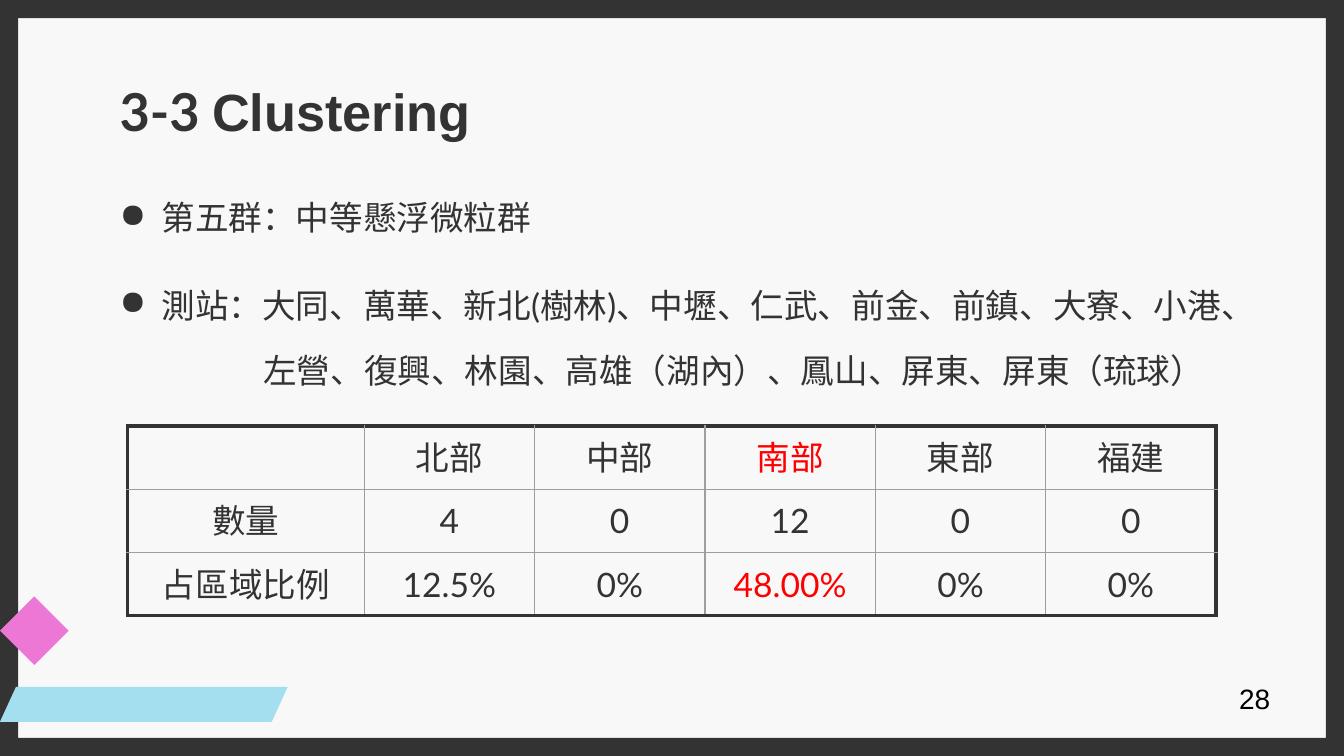
from lxml.etree import SubElement
from pptx import Presentation
from pptx.dml.color import RGBColor
from pptx.enum.shapes import MSO_SHAPE
from pptx.enum.text import MSO_ANCHOR, PP_ALIGN
from pptx.oxml.ns import qn
from pptx.util import Pt

DARK = RGBColor(0x33, 0x33, 0x33)
PAPER = RGBColor(0xF8, 0xF8, 0xF8)
GRID = RGBColor(0x9E, 0x9E, 0x9E)
SKY = RGBColor(0xA3, 0xDF, 0xEF)
PINK = RGBColor(0xED, 0x77, 0xD4)
RED = RGBColor(0xFF, 0, 0)
BLACK = RGBColor(0, 0, 0)


class SlideBuilder:
    """Holds the style and the current slide, and adds each kind of element."""

    font = "Lato"
    body_size = 18
    inset = Pt(7.2)

    def __init__(self, slide):
        self.slide = slide
        slide.background.fill.solid()
        slide.background.fill.fore_color.rgb = PAPER

    def shape(self, preset, box, color, adjustment=None):
        shape = self.slide.shapes.add_shape(preset, *map(Pt, box))
        shape.shadow.inherit = False
        shape.fill.solid()
        shape.fill.fore_color.rgb = color
        shape.line.fill.background()
        if adjustment is not None:
            shape.adjustments[0] = adjustment

    def format_run(self, run, size, color=DARK, font=None, bold=False):
        run.font.size = Pt(size)
        run.font.bold = bold
        run.font.color.rgb = color
        run.font.name = font or self.font
        SubElement(run.font._element, qn("a:ea"), typeface=run.font.name)

    def text_frame(self, box, anchor=MSO_ANCHOR.TOP, wrap=True):
        frame = self.slide.shapes.add_textbox(*map(Pt, box)).text_frame
        frame.word_wrap = wrap
        frame.vertical_anchor = anchor
        frame.margin_left = frame.margin_right = self.inset
        frame.margin_top = frame.margin_bottom = self.inset
        return frame

    def title(self, box, parts):
        paragraph = self.text_frame(box, MSO_ANCHOR.MIDDLE).paragraphs[0]
        for text, font in parts:
            run = paragraph.add_run()
            run.text = text
            self.format_run(run, 28, font=font, bold=True)

    def page_number(self, box, number):
        frame = self.text_frame(box, wrap=False)
        frame.text = number
        self.format_run(frame.paragraphs[0].runs[0], 15, BLACK, "Arial")

    def body(self, box, lines):
        frame = self.text_frame(box)
        frame.text = "\n".join(text for text, *_ in lines)
        for paragraph, (_, left, hanging, after) in zip(frame.paragraphs, lines):
            paragraph.line_spacing = Pt(35)
            paragraph.space_after = Pt(after)
            self.format_run(paragraph.runs[0], self.body_size)
            properties = paragraph._p.get_or_add_pPr()
            properties.set("marL", str(Pt(left)))
            properties.set("indent", str(Pt(-hanging)))
            if hanging:
                bullet_color = SubElement(properties, qn("a:buClr"))
                SubElement(bullet_color, qn("a:srgbClr"), val=str(DARK))
                SubElement(properties, qn("a:buChar"), char="●")

    def borders(self, cell, outer_sides):
        properties = cell._tc.get_or_add_tcPr()
        for side in "LRTB":
            color, width = (DARK, 2.25) if side in outer_sides else (GRID, 0.75)
            line = SubElement(properties, qn(f"a:ln{side}"), w=str(Pt(width)))
            fill = SubElement(line, qn("a:solidFill"))
            SubElement(fill, qn("a:srgbClr"), val=str(color))

    def table(self, left, top, widths, row_height, rows, highlights):
        last_row, last_column = len(rows) - 1, len(widths) - 1
        table = self.slide.shapes.add_table(
            len(rows), len(widths), Pt(left), Pt(top),
            Pt(sum(widths)), Pt(row_height * len(rows))).table
        table.first_row = table.horz_banding = False
        for column, width in zip(table.columns, widths):
            column.width = Pt(width)
        for r, row in enumerate(rows):
            for c, text in enumerate(row):
                cell = table.cell(r, c)
                edges = {"L": c == 0, "R": c == last_column,
                         "T": r == 0, "B": r == last_row}
                self.borders(cell, [side for side in edges if edges[side]])
                cell.fill.solid()
                cell.fill.fore_color.rgb = PAPER
                cell.vertical_anchor = MSO_ANCHOR.MIDDLE
                cell.text = text
                paragraph = cell.text_frame.paragraphs[0]
                paragraph.alignment = PP_ALIGN.CENTER
                for run in paragraph.runs:
                    color = RED if text in highlights else DARK
                    self.format_run(run, self.body_size, color)


def main():
    deck = Presentation()
    deck.slide_width, deck.slide_height = Pt(720), Pt(405)
    builder = SlideBuilder(deck.slides.add_slide(deck.slide_layouts[6]))

    builder.shape(MSO_SHAPE.FRAME, (0, 0, 720, 405), DARK, 0.024)
    builder.shape(MSO_SHAPE.PARALLELOGRAM, (0, 368, 154.2, 18.7), SKY, 0.46)
    builder.shape(MSO_SHAPE.DIAMOND, (0, 319.5, 36.8, 36.8), PINK)
    builder.page_number((656.8, 357.8, 33, 25.2), "28")
    builder.title((57, 35.4, 607, 48), [("3-3 ", "Lato"), ("Clustering", "Arial")])
    builder.body((57, 85, 648, 266.4), [
        ("第五群：中等懸浮微粒群", 22.5, 22.5, 12),
        ("測站：大同、萬華、新北(樹林)、中壢、仁武、前金、前鎮、大寮、小港、",
         22.5, 22.5, 0),
        ("左營、復興、林園、高雄（湖內）、鳳山、屏東、屏東（琉球）", 77, 0, 0),
    ])
    builder.table(68.4, 228.4, [126.7] + [91.3] * 5, 33.8, [
        ["", "北部", "中部", "南部", "東部", "福建"],
        ["數量", "4", "0", "12", "0", "0"],
        ["占區域比例", "12.5%", "0%", "48.00%", "0%", "0%"],
    ], highlights={"南部", "48.00%"})
    deck.save("out.pptx")


if __name__ == "__main__":
    main()
